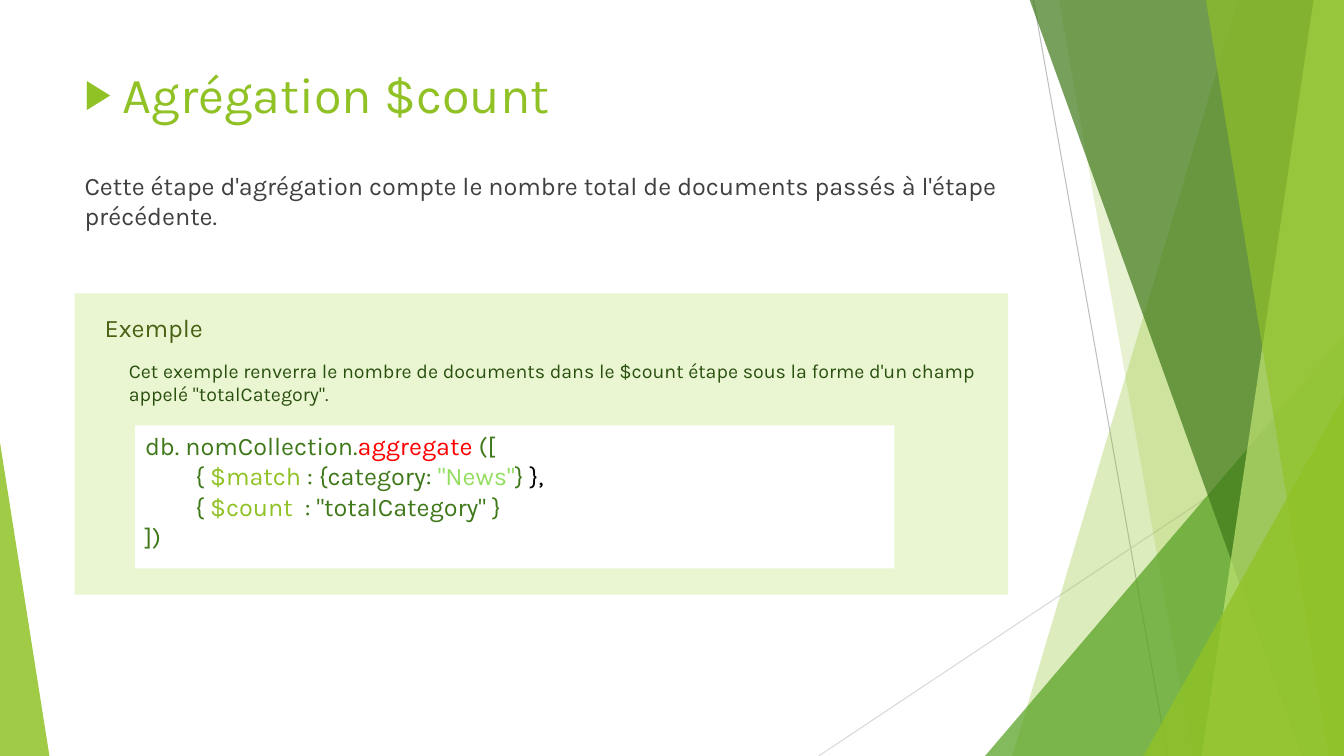
from lxml.etree import SubElement
from pptx import Presentation
from pptx.dml.color import RGBColor
from pptx.enum.shapes import MSO_CONNECTOR, MSO_SHAPE
from pptx.enum.text import MSO_ANCHOR, PP_ALIGN
from pptx.oxml.ns import qn
from pptx.util import Inches, Pt

FONT = "Karla"
WIDTH, HEIGHT = 13.33, 7.5
TOP = -0.01  # facets start just above the page

LIME = RGBColor(0x90, 0xC2, 0x26)
GREEN = RGBColor(0x54, 0xA0, 0x21)
FOREST = RGBColor(0x3F, 0x78, 0x19)
PALE_LIME = RGBColor(0xC0, 0xE4, 0x74)
MINT = RGBColor(0x94, 0xDE, 0x61)
PANEL = RGBColor(0xEA, 0xF6, 0xD1)
OLIVE = RGBColor(0x48, 0x61, 0x13)
DARK_GREEN = RGBColor(0x2A, 0x50, 0x10)
CHARCOAL = RGBColor(0x40, 0x40, 0x40)
RED = RGBColor(0xFF, 0, 0)
BLACK = RGBColor(0, 0, 0)
WHITE = RGBColor(0xFF, 0xFF, 0xFF)
GREY = RGBColor(0xBF, 0xBF, 0xBF)
LIGHT_GREY = RGBColor(0xD9, 0xD9, 0xD9)

# Content
TITLE = "Agrégation $count"
INTRO = ("Cette étape d'agrégation compte le nombre total de documents "
         "passés à l'étape précédente.")
EXAMPLE = "Exemple"
EXPLANATION = ("Cet exemple renverra le nombre de documents dans le $count étape "
               "sous la forme d'un champ appelé \"totalCategory\".")
# Each code line: indent in inches, then coloured pieces
CODE = [
    (0, [("db. nomCollection.", FOREST), ("aggregate ", RED), ("([", FOREST)]),
    (0.5, [("{ ", FOREST), ("$match", LIME), (" : {category: ", FOREST),
           ('"News"', MINT), ("} ", FOREST), ("},", BLACK)]),
    (0.5, [("{ ", FOREST), ("$count  ", LIME), (': "totalCategory" }', FOREST)]),
    (0, [("])", FOREST)]),
]

# Decoration: start, end, colour
RULES = [
    ((10.25, 0), (11.58, HEIGHT), GREY),
    ((WIDTH, 4.03), (8.12, HEIGHT), LIGHT_GREY),
]
# Facets run to the right edge: ("band", top x, bottom x) or ("wedge", left, top)
FACETS = [
    ("band", 12.28, 10.04, LIME, 30),
    ("band", 10.5, 11.83, LIME, 20),
    ("wedge", 9.77, 3.33, GREEN, 72),
    ("band", 10.21, 12.91, FOREST, 70),
    ("band", 13.03, 11.92, PALE_LIME, 70),
    ("band", 11.96, 13.18, LIME, 65),
    ("wedge", 11.34, 3.93, LIME, 80),
]

deck = Presentation()
deck.slide_width, deck.slide_height = Inches(WIDTH), Inches(HEIGHT)
page = deck.slides.add_slide(deck.slide_layouts[6])


def paint(shape, color, opacity=100):
    shape.shadow.inherit = False
    shape.line.fill.background()
    shape.fill.solid()
    shape.fill.fore_color.rgb = color
    if opacity < 100:
        tint = shape.fill._xPr.find(qn("a:solidFill"))[0]
        SubElement(tint, qn("a:alpha"), val=str(opacity * 1000))


def add_preset(kind, left, top, width, height, color, opacity=100):
    shape = page.shapes.add_shape(
        kind, Inches(left), Inches(top), Inches(width), Inches(height))
    paint(shape, color, opacity)
    return shape


def add_triangle(left, top, width, apex, color, opacity):
    shape = add_preset(MSO_SHAPE.ISOSCELES_TRIANGLE, left, top, width,
                       HEIGHT - top, color, opacity)
    shape.adjustments[0] = apex


def add_band(top_x, bottom_x, color, opacity):
    corners = [(top_x, TOP), (WIDTH, TOP), (WIDTH, HEIGHT), (bottom_x, HEIGHT)]
    points = [(Inches(x), Inches(y)) for x, y in corners]
    builder = page.shapes.build_freeform(*points[0], scale=1.0)
    builder.add_line_segments(points[1:], close=True)
    paint(builder.convert_to_shape(), color, opacity)


def style(para, size, color):
    para.font.name, para.font.size = FONT, Pt(size)
    para.font.color.rgb = color


def add_text(left, top, width, height, text, size, color):
    box = page.shapes.add_textbox(
        Inches(left), Inches(top), Inches(width), Inches(height))
    box.text_frame.word_wrap = True
    para = box.text_frame.paragraphs[0]
    para.text = text
    style(para, size, color)
    return para


# Background rules and facets
for start, end, color in RULES:
    rule = page.shapes.add_connector(
        MSO_CONNECTOR.STRAIGHT, *[Inches(value) for value in start + end])
    rule.line.color.rgb, rule.line.width = color, Pt(0.75)
    SubElement(rule._element.spPr, qn("a:effectLst"))
for kind, first, second, color, opacity in FACETS:
    if kind == "band":
        add_band(first, second, color, opacity)
    else:
        add_triangle(first, second, WIDTH - first, 1, color, opacity)
add_triangle(0, 4.39, 0.49, 0, LIME, 85)

# Title with its arrow bullet, then the introduction
title = add_text(0.74, 0.58, 9.4, 0.9, TITLE, 36, LIME)
layout = title._p.get_or_add_pPr()
layout.set("marL", str(Inches(0.38)))
layout.set("indent", str(-Inches(0.38)))
tint = SubElement(layout, qn("a:buClr"))
SubElement(tint, qn("a:srgbClr"), val=str(LIME))
SubElement(layout, qn("a:buSzPct"), val="80000")
SubElement(layout, qn("a:buFont"), typeface="Arial")
SubElement(layout, qn("a:buChar"), char="▶")
add_text(0.74, 1.64, 9.4, 0.7, INTRO, 18, CHARCOAL)

# Example panel
add_preset(MSO_SHAPE.RECTANGLE, 0.74, 2.91, 9.26, 2.99, PANEL)
add_text(0.94, 3.05, 1.5, 0.4, EXAMPLE, 18, OLIVE)
add_text(1.18, 3.51, 9.15, 0.64, EXPLANATION, 14, DARK_GREEN)

# Code block
code = add_preset(MSO_SHAPE.RECTANGLE, 1.34, 4.22, 7.53, 1.42, WHITE).text_frame
code.word_wrap = True
code.vertical_anchor = MSO_ANCHOR.TOP
for number, (indent, pieces) in enumerate(CODE):
    para = code.add_paragraph() if number else code.paragraphs[0]
    para.alignment = PP_ALIGN.LEFT
    para._p.get_or_add_pPr().set("marL", str(Inches(indent)))
    style(para, 18, FOREST)
    for text, color in pieces:
        span = para.add_run()
        span.text = text
        span.font.color.rgb = color

deck.save("out.pptx")
